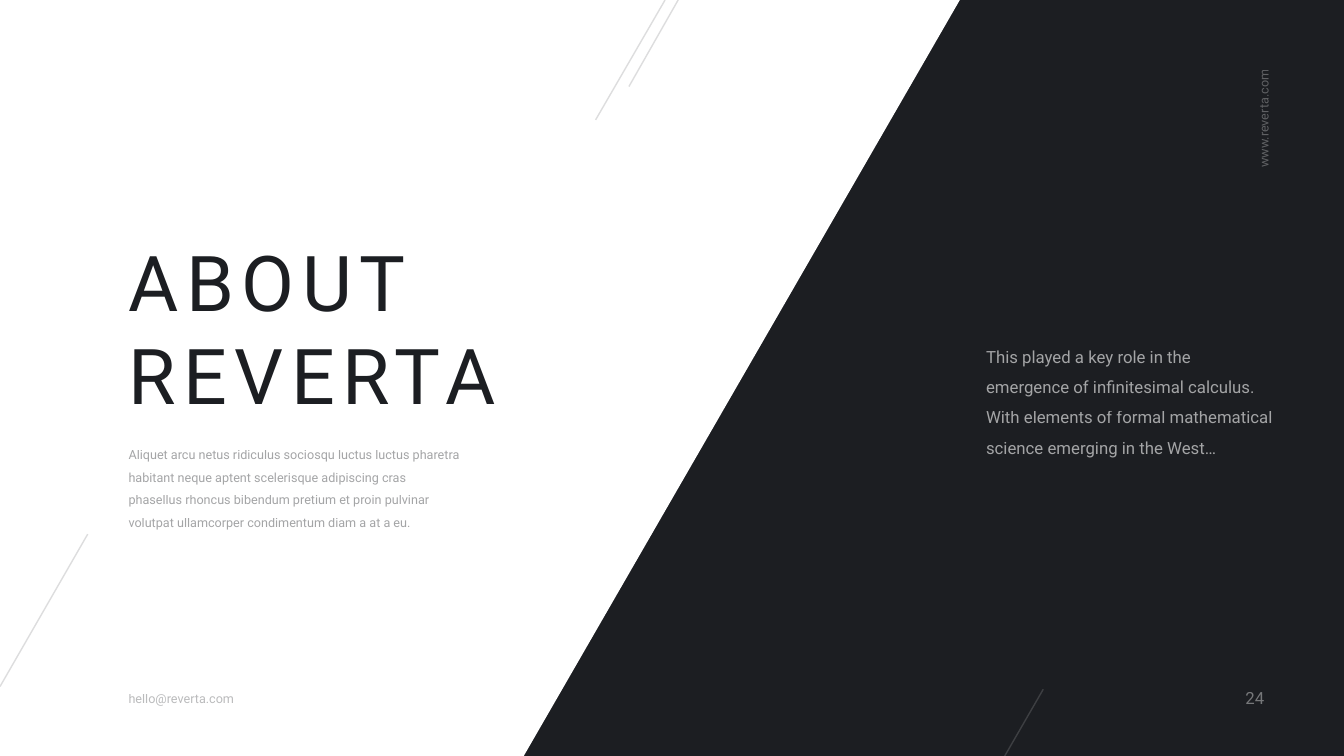
from pptx import Presentation
from pptx.dml.color import RGBColor
from pptx.enum.shapes import MSO_CONNECTOR
from pptx.enum.text import MSO_ANCHOR, MSO_AUTO_SIZE, PP_ALIGN
from pptx.oxml.ns import qn
from pptx.util import Cm, Pt
from lxml import etree

STRAIGHT = MSO_CONNECTOR.STRAIGHT
TOP, BOTTOM = MSO_ANCHOR.TOP, MSO_ANCHOR.BOTTOM
LEFT, RIGHT = PP_ALIGN.LEFT, PP_ALIGN.RIGHT
FIT_SHAPE = MSO_AUTO_SIZE.SHAPE_TO_FIT_TEXT

FONT = "Roboto"
DARK, WHITE = "1C1E22", "FFFFFF"
WIDTH, HEIGHT = 33.87, 19.05
TEXT_LEFT = 3.17
INSET = 0.07


def set_color(fill, element, color, opacity=100):
    """Give the fill, whose XML lies in element, a solid colour and opacity in percent."""
    fill.solid()
    fill.fore_color.rgb = RGBColor.from_string(color)
    if opacity < 100:
        for color_element in element.iter(qn("a:srgbClr")):
            etree.SubElement(color_element, qn("a:alpha"), val=str(opacity * 1000))


def place(shape, box):
    shape.left, shape.top, shape.width, shape.height = map(Cm, box)


def write(shape, lines, size, color, opacity=100, spacing=0, align=LEFT,
          anchor=TOP, wrap=False, line_spacing=None):
    """Fill the shape with one paragraph for each line."""
    frame = shape.text_frame
    frame.margin_left = frame.margin_right = Cm(INSET)
    frame.margin_top = frame.margin_bottom = Cm(INSET)
    frame.word_wrap = wrap
    frame.auto_size = FIT_SHAPE
    frame.vertical_anchor = anchor
    for index, line in enumerate(lines):
        paragraph = frame.add_paragraph() if index else frame.paragraphs[0]
        paragraph.alignment = align
        if line_spacing:
            paragraph.line_spacing = line_spacing
        run = paragraph.add_run()
        run.text = line
        run.font.name = FONT
        run.font.size = Pt(size)
        set_color(run.font.fill, run._r, color, opacity)
        if spacing:
            run._r.get_or_add_rPr().set("spc", str(round(spacing * 100)))


def add_text(slide, box, text, size, color, **options):
    shape = slide.shapes.add_textbox(*map(Cm, box))
    write(shape, [text], size, color, **options)
    place(shape, box)
    return shape


def add_accent_line(slide, start, end, color):
    line = slide.shapes.add_connector(STRAIGHT, *map(Cm, start + end))
    line.line.width = Pt(1)
    set_color(line.line.fill, line.element, color, 15)
    etree.SubElement(line.element.spPr, qn("a:effectLst"))


def add_white_panel(slide, top_edge, bottom_edge):
    builder = slide.shapes.build_freeform(0, 0)
    corners = [(top_edge, 0), (bottom_edge, HEIGHT), (0, HEIGHT)]
    builder.add_line_segments([(Cm(x), Cm(y)) for x, y in corners])
    panel = builder.convert_to_shape()
    panel.shadow.inherit = False
    set_color(panel.fill, panel.element, WHITE)
    panel.line.fill.background()


def add_about(slide, left, top):
    title = slide.shapes.title
    title.element.getparent().append(title.element)  # bring in front of the panel
    write(title, ["ABOUT", "REVERTA"], 55, DARK, spacing=5.5, anchor=BOTTOM)
    place(title, (left, top, 10.13, 4.85))
    summary = ("Aliquet arcu netus ridiculus sociosqu luctus luctus pharetra habitant neque "
               "aptent scelerisque adipiscing cras phasellus rhoncus bibendum pretium et proin "
               "pulvinar volutpat ullamcorper condimentum diam a at a eu.")
    add_text(slide, (left, top + 5.21, 8.5, 2.44), summary, 9, DARK,
             opacity=40, wrap=True, line_spacing=1.5)


def add_quote(slide, box):
    quote = ("This played a key role in the emergence of infinitesimal calculus. With elements "
             "of formal mathematical science emerging in the West…")
    add_text(slide, box, quote, 12, WHITE, opacity=60, wrap=True, line_spacing=1.5)


def add_contacts(slide):
    website = add_text(slide, (30.53, 2.74, 2.64, 0.53), "www.reverta.com", 9, WHITE,
                       opacity=30, align=RIGHT)
    website.rotation = 270
    add_text(slide, (TEXT_LEFT, 17.35, 2.82, 0.53), "hello@reverta.com", 9, DARK, opacity=30)


def add_page_number(slide, box):
    number = add_text(slide, box, "24", 12, WHITE, opacity=40, align=RIGHT, wrap=True)
    frame = number.text_frame
    frame.margin_left = frame.margin_right = Cm(0.25)
    frame.margin_top = frame.margin_bottom = Cm(0.13)


def main():
    presentation = Presentation()
    presentation.slide_width, presentation.slide_height = Cm(WIDTH), Cm(HEIGHT)
    slide = presentation.slides.add_slide(presentation.slide_layouts[5])
    set_color(slide.background.fill, slide.element, DARK)

    add_white_panel(slide, 24.19, 13.2)
    add_about(slide, TEXT_LEFT, 5.79)
    add_quote(slide, (24.78, 8.41, 7.42, 3.23))
    add_contacts(slide)
    add_page_number(slide, (30.81, 17.2, 1.3, 0.79))
    for start, end, color in [
        ((25.32, HEIGHT), (26.29, 17.37), WHITE),
        ((0, 17.3), (2.21, 13.46), DARK),
        ((15.01, 3.02), (16.76, 0), DARK),
        ((15.85, 2.18), (17.09, 0), DARK),
    ]:
        add_accent_line(slide, start, end, color)
    presentation.save("out.pptx")


if __name__ == "__main__":
    main()
